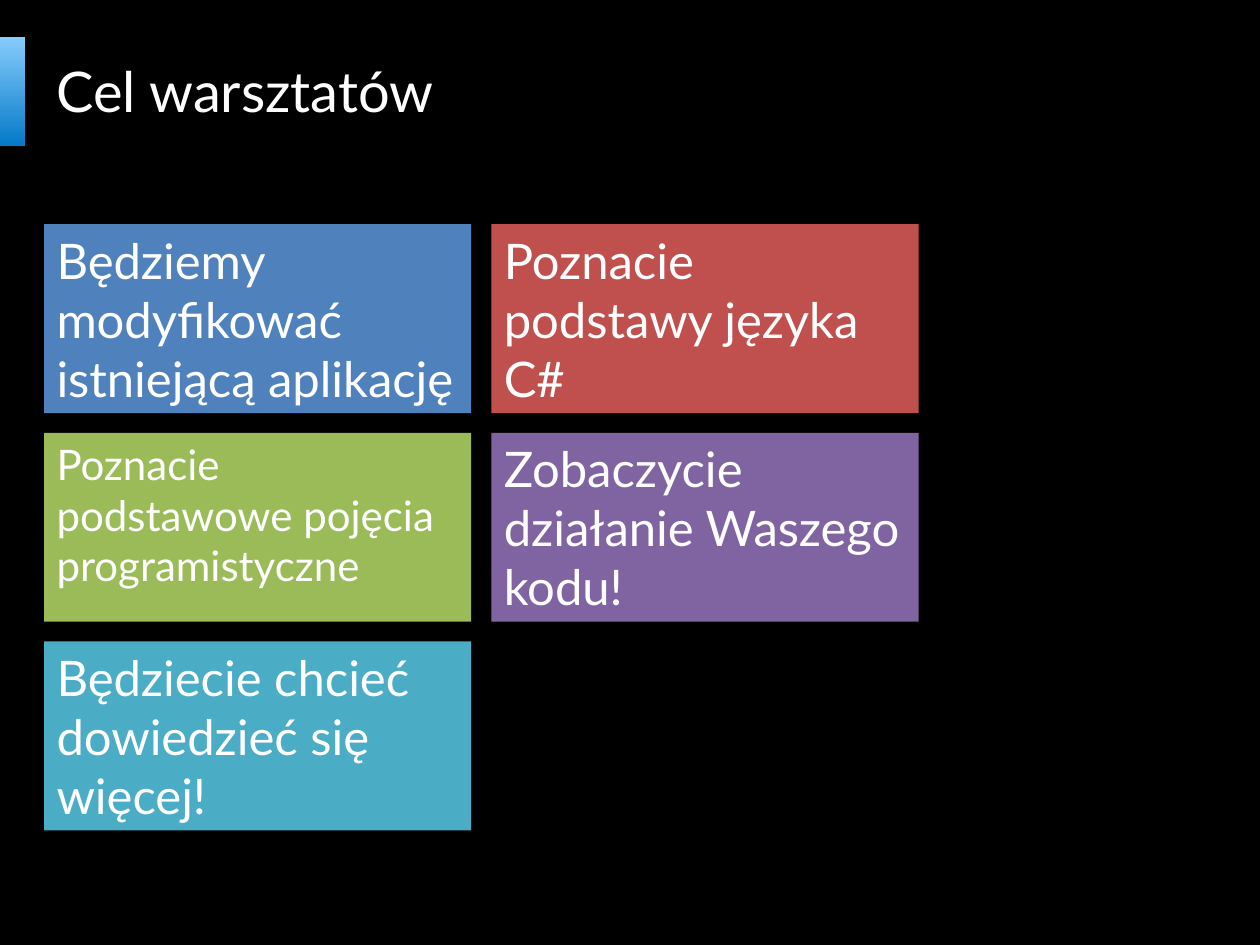
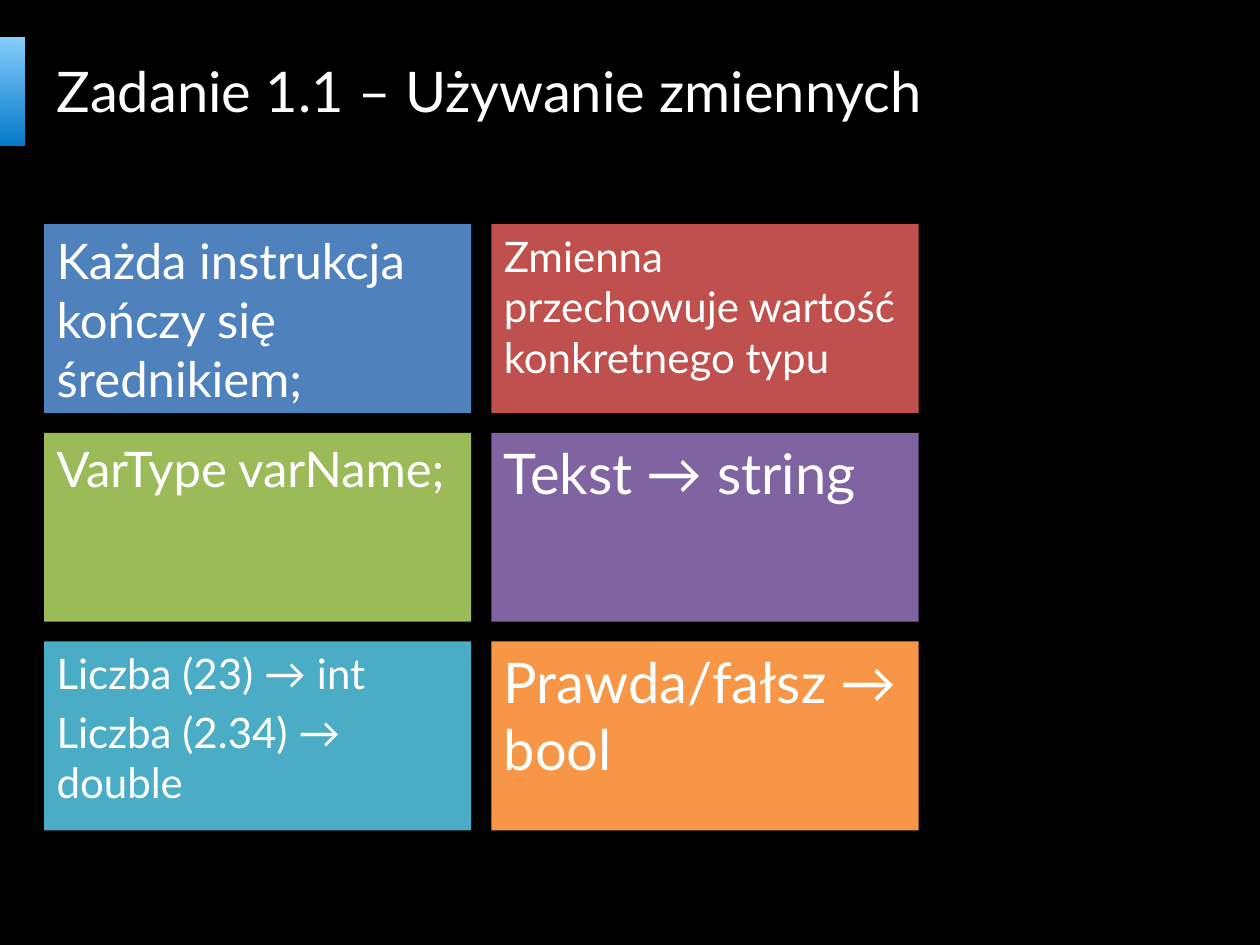
import pptx
import pptx.dml.color
import pptx.enum.shapes
import pptx.enum.text
import pptx.util

Inches = pptx.util.Inches
Pt = pptx.util.Pt

FONT = "Lato"
BLACK = "000000"
WHITE = "FFFFFF"
BAR_COLOURS = ("87CDFC", "0479C8")
TILE_COLOURS = ("4F81BD", "C0504D", "9BBB59", "8064A2", "4BACC6", "F79646")
TITLE_SIZE = 32
COLUMNS = 2
GRID_LEFT, GRID_TOP = 0.35, 1.78
TILE_WIDTH, TILE_HEIGHT = 3.39, 1.5
COLUMN_STEP, ROW_STEP = 3.55, 1.655

SLIDES = (
    ("Cel warsztatów", (
        (28, ["Będziemy modyfikować istniejącą aplikację"]),
        (28, ["Poznacie podstawy języka C#"]),
        (24, ["Poznacie podstawowe pojęcia programistyczne"]),
        (28, ["Zobaczycie działanie Waszego kodu!"]),
        (28, ["Będziecie chcieć dowiedzieć się więcej!"]),
    )),
    ("Zadanie 1.1 – Używanie zmiennych", (
        (28, ["Każda instrukcja kończy się średnikiem;"]),
        (24, ["Zmienna przechowuje wartość konkretnego typu"]),
        (28, ["VarType varName;"]),
        (32, ["Tekst → string"]),
        (24, ["Liczba (23) → int", "Liczba (2.34) → double"]),
        (32, ["Prawda/fałsz → bool"]),
    )),
)


def colour(value):
    return pptx.dml.color.RGBColor.from_string(value)


def write(box, lines, size, anchor):
    frame = box.text_frame
    frame.word_wrap = True
    frame.vertical_anchor = anchor
    for index, line in enumerate(lines):
        para = frame.add_paragraph() if index else frame.paragraphs[0]
        para.alignment = pptx.enum.text.PP_ALIGN.LEFT
        if index:
            para.space_before = Pt(size * 0.2)
        span = para.add_run()
        span.text = line
        span.font.name = FONT
        span.font.size = Pt(size)
        span.font.color.rgb = colour(WHITE)


def add_rectangle(page, left, top, width, height):
    box = page.shapes.add_shape(
        pptx.enum.shapes.MSO_SHAPE.RECTANGLE,
        Inches(left), Inches(top), Inches(width), Inches(height))
    box.shadow.inherit = False
    box.line.fill.background()
    return box


def add_title_bar(page):
    bar = add_rectangle(page, 0, 0.29, 0.2, 0.87)
    bar.fill.gradient()
    bar.fill.gradient_angle = 270
    for stop, value in zip(bar.fill.gradient_stops, BAR_COLOURS):
        stop.color.rgb = colour(value)


def add_title(page, title):
    box = page.shapes.add_textbox(
        Inches(GRID_LEFT), Inches(0.29), Inches(7.09), Inches(0.85))
    write(box, [title], TITLE_SIZE, pptx.enum.text.MSO_ANCHOR.MIDDLE)


def add_tile(page, index, size, lines):
    row, column = divmod(index, COLUMNS)
    tile = add_rectangle(
        page, GRID_LEFT + column * COLUMN_STEP, GRID_TOP + row * ROW_STEP,
        TILE_WIDTH, TILE_HEIGHT)
    tile.fill.solid()
    tile.fill.fore_color.rgb = colour(TILE_COLOURS[index])
    write(tile, lines, size, pptx.enum.text.MSO_ANCHOR.TOP)


def add_page(deck, title, tiles):
    page = deck.slides.add_slide(deck.slide_layouts[6])
    page.background.fill.solid()
    page.background.fill.fore_color.rgb = colour(BLACK)
    add_title_bar(page)
    add_title(page, title)
    for index, (size, lines) in enumerate(tiles):
        add_tile(page, index, size, lines)


def main():
    deck = pptx.Presentation()
    deck.slide_width = Inches(10)
    deck.slide_height = Inches(7.5)
    for title, tiles in SLIDES:
        add_page(deck, title, tiles)
    deck.save("out.pptx")


if __name__ == "__main__":
    main()
